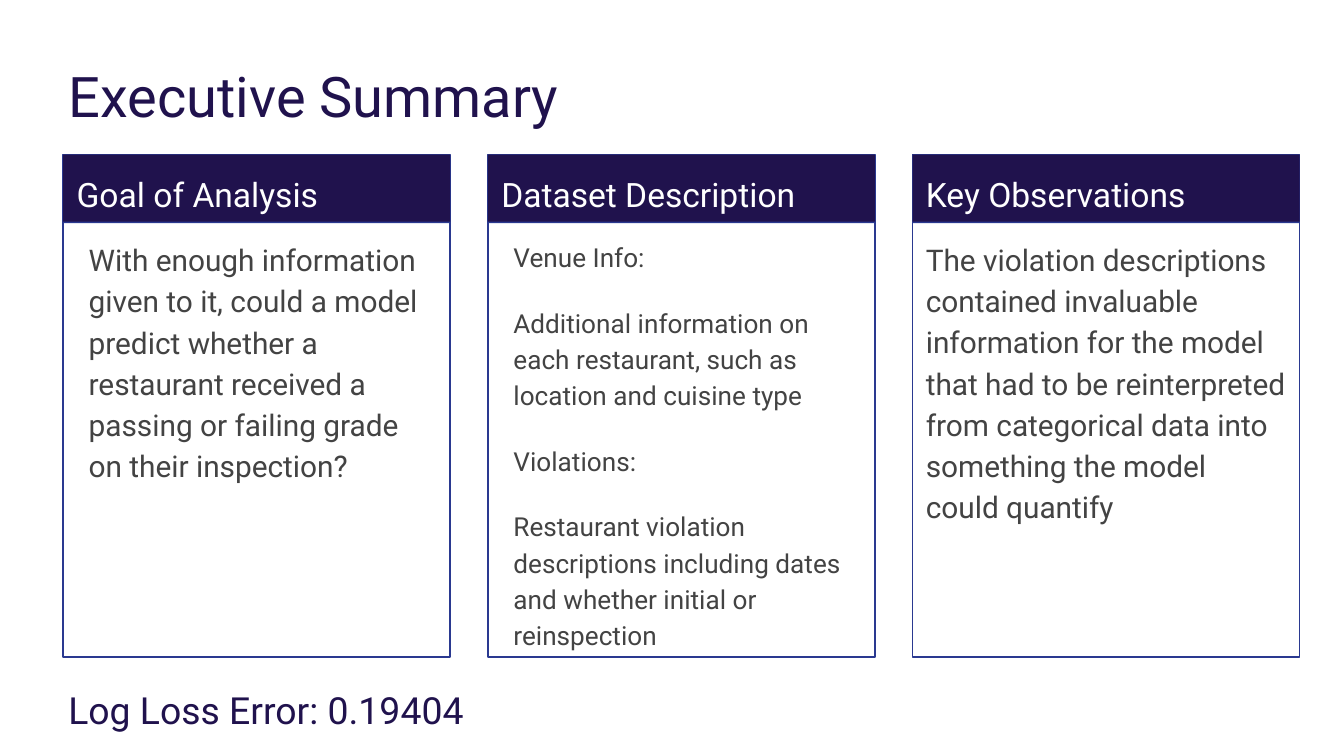
from pptx import Presentation
from pptx.dml.color import RGBColor
from pptx.enum.shapes import MSO_SHAPE as Shape
from pptx.enum.text import MSO_ANCHOR as Anchor, MSO_AUTO_SIZE as AutoSize, PP_ALIGN as Align
from pptx.oxml.ns import qn
from pptx.util import Inches, Pt

NAVY = RGBColor(0x20, 0x12, 0x4D)
BLUE = RGBColor(0x2A, 0x39, 0x90)
GRAY = RGBColor(0x43, 0x43, 0x43)
WHITE = RGBColor(0xFF, 0xFF, 0xFF)

COMPARISON_LAYOUT = 4
COLUMN_LEFT, COLUMN_TOP, COLUMN_STEP = 0.47, 1.15, 3.16
COLUMN_WIDTH, COLUMN_HEIGHT, HEADER_HEIGHT = 2.88, 3.74, 0.5
BAND_HEIGHT = 0.51

# Heading, paragraphs, text size, space between paragraphs, text inset, text height
COLUMNS = [
    ("Goal of Analysis",
     ["With enough information given to it, could a model predict whether a "
      "restaurant received a passing or failing grade on their inspection?"],
     16, 0, 0.09, 3.06),
    ("Dataset Description",
     ["Venue Info:",
      "Additional information on each restaurant, such as location and cuisine type",
      "Violations:",
      "Restaurant violation descriptions including dates and whether initial or reinspection"],
     14, 16, 0.09, 3.23),
    ("Key Observations",
     ["The violation descriptions contained invaluable information for the model "
      "that had to be reinterpreted from categorical data into something the "
      "model could quantify"],
     16, 0, 0, 3.06),
]


def place(shape, left, top, width, height):
    shape.left, shape.top = Inches(left), Inches(top)
    shape.width, shape.height = Inches(width), Inches(height)


def write(shape, paragraphs, size, color, line_spacing=1.0, gap=0):
    """Fill a shape with plain, top-left text, with gap points between paragraphs."""
    frame = shape.text_frame
    frame_format = {
        "word_wrap": True, "auto_size": AutoSize.NONE, "vertical_anchor": Anchor.TOP,
        "margin_left": Inches(0.1), "margin_right": Inches(0.1),
        "margin_top": Inches(0.1), "margin_bottom": Inches(0.1),
    }
    for name, value in frame_format.items():
        setattr(frame, name, value)
    frame.text = "\n".join(paragraphs)
    for index, paragraph in enumerate(frame.paragraphs):
        paragraph_format = {
            "alignment": Align.LEFT, "line_spacing": line_spacing,
            "space_before": Pt(gap if index else 0), "space_after": Pt(0),
        }
        for name, value in paragraph_format.items():
            setattr(paragraph, name, value)
        properties = paragraph._p.get_or_add_pPr()
        properties.set("marL", "0")
        properties.set("indent", "0")
        properties.append(properties.makeelement(qn("a:buNone"), {}))
        font = paragraph.runs[0].font
        font_format = {"name": "Roboto", "size": Pt(size), "bold": False}
        for name, value in font_format.items():
            setattr(font, name, value)
        font.color.rgb = color


def add_rectangle(slide, box, fill=None, line=None):
    rectangle = slide.shapes.add_shape(Shape.RECTANGLE, *map(Inches, box))
    rectangle.shadow.inherit = False
    if fill is None:
        rectangle.fill.background()
    else:
        rectangle.fill.solid()
        rectangle.fill.fore_color.rgb = fill
    if line is None:
        rectangle.line.fill.background()
    else:
        rectangle.line.color.rgb = line
        rectangle.line.width = Pt(0.75)


def take_text_shape(slide, placeholders):
    """Bring the next free placeholder to the front, or add a text box."""
    if not placeholders:
        return slide.shapes.add_textbox(0, 0, 0, 0)
    shape = placeholders.pop(0)
    slide.shapes._spTree.append(shape._element)
    return shape


def add_column(slide, placeholders, box, content):
    left, top, width, height = box
    heading, paragraphs, size, gap, inset, text_height = content
    add_rectangle(slide, (left, top, width, BAND_HEIGHT), fill=BLUE)
    add_rectangle(slide, box, line=BLUE)

    header = take_text_shape(slide, placeholders)
    place(header, left, top, width, HEADER_HEIGHT)
    header.fill.solid()
    header.fill.fore_color.rgb = NAVY
    write(header, [heading], 18, WHITE, 1.15)

    body = take_text_shape(slide, placeholders)
    place(body, left + inset, top + BAND_HEIGHT, width - 2 * inset, text_height)
    write(body, paragraphs, size, GRAY, 1.15, gap)


def add_title(slide, box):
    title = slide.shapes.title
    place(title, *box)
    write(title, ["Executive Summary"], 30, NAVY)


def add_result(slide, box):
    result = slide.shapes.add_textbox(*map(Inches, box))
    write(result, ["Log Loss Error: 0.19404"], 20, NAVY)


def build_summary_slide(presentation):
    slide = presentation.slides.add_slide(presentation.slide_layouts[COMPARISON_LAYOUT])
    placeholders = [placeholder for placeholder in slide.placeholders
                    if 1 <= placeholder.placeholder_format.idx <= 4]

    add_title(slide, (0.41, 0.36, 9.32, 0.66))
    for number, content in enumerate(COLUMNS):
        left = COLUMN_LEFT + number * COLUMN_STEP
        add_column(slide, placeholders,
                   (left, COLUMN_TOP, COLUMN_WIDTH, COLUMN_HEIGHT), content)
    add_result(slide, (0.41, 5.01, 3.27, 0.66))


def main():
    presentation = Presentation()
    presentation.slide_width = Inches(10)
    presentation.slide_height = Inches(10) * 9 // 16
    build_summary_slide(presentation)
    presentation.save("out.pptx")


if __name__ == "__main__":
    main()
